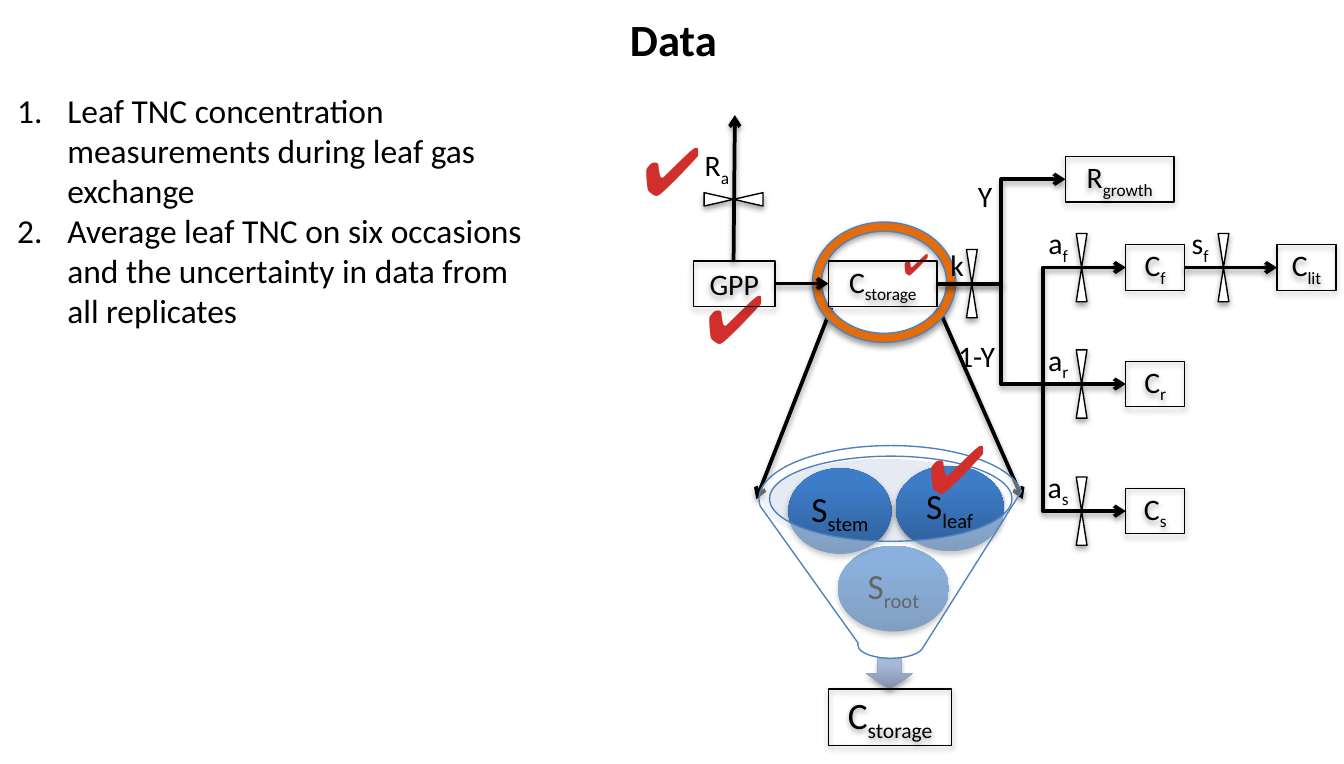
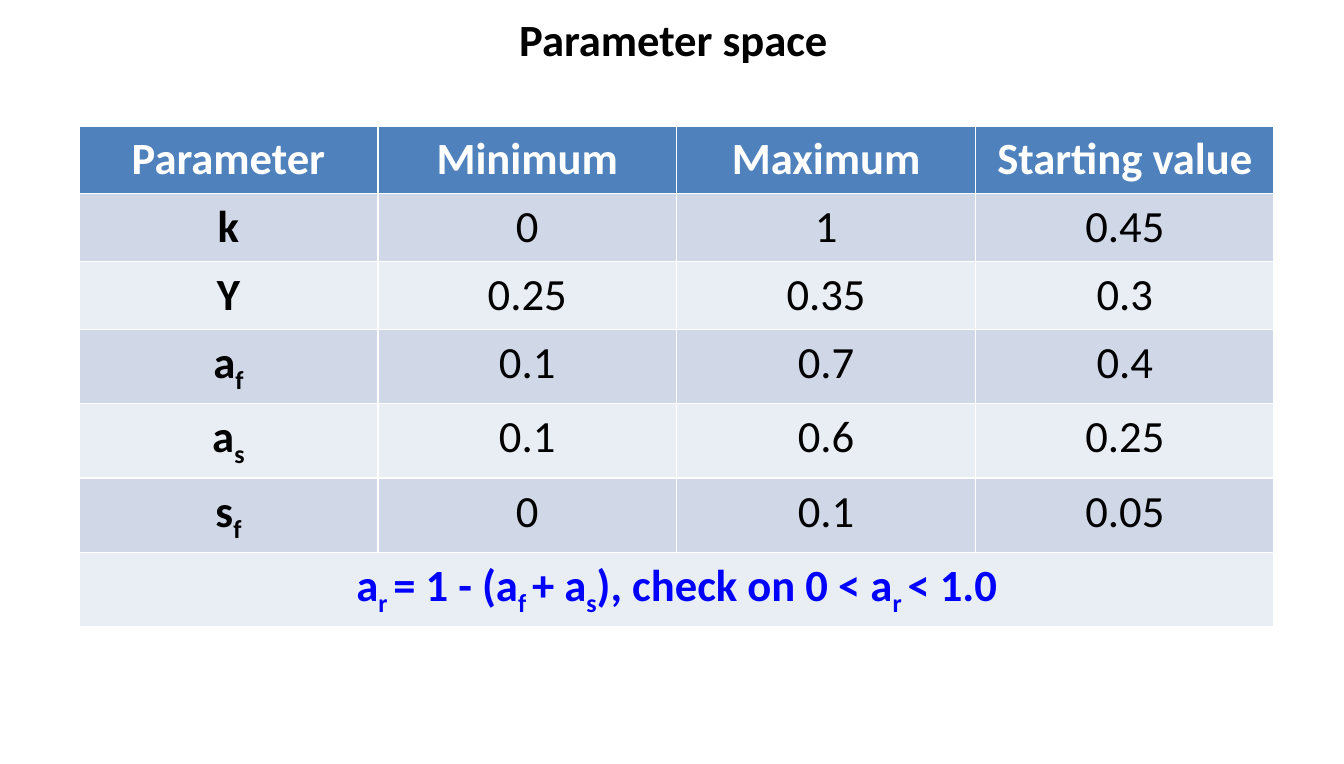
from dataclasses import dataclass

from pptx import Presentation
from pptx.dml.color import RGBColor
from pptx.enum.shapes import MSO_CONNECTOR, MSO_SHAPE
from pptx.enum.text import MSO_ANCHOR, PP_ALIGN
from pptx.oxml import parse_xml
from pptx.oxml.ns import nsdecls, qn
from pptx.util import Inches, Pt

BOX, OVAL, RING = MSO_SHAPE.RECTANGLE, MSO_SHAPE.OVAL, MSO_SHAPE.DONUT
GATE, FUNNEL, DOWN = MSO_SHAPE.FLOWCHART_COLLATE, MSO_SHAPE.FUNNEL, MSO_SHAPE.DOWN_ARROW
LINE, ELBOW = MSO_CONNECTOR.STRAIGHT, MSO_CONNECTOR.ELBOW
MID, TOP = MSO_ANCHOR.MIDDLE, MSO_ANCHOR.TOP
CENTER, LEFT = PP_ALIGN.CENTER, PP_ALIGN.LEFT

# The grid has square cells; all lengths are counted in its columns and rows.
CELL = Inches(0.1)
WIDE, HIGH = 100.4, 57.1
PAD = (1, 0.5)
BOX_H = 3.4
MAIN, LEAF, ROOT, STEM, GROW = 21.2, 20, 28.7, 38.2, 13.4   # flow rows
FORK, TRUNK, POOL = 74.8, 77.9, 84.1                        # flow columns


@dataclass(frozen=True)
class Theme:
    font: str = "Calibri"
    mark: str = "Arial"
    ink: str = "000000"
    paper: str = "FFFFFF"
    red: str = "D02F2C"
    ring: str = "E46C0A"
    edge: str = "4F81BD"
    note: str = "0000FF"
    glass: str = "C2CDE1"
    bands: tuple = ("E9EDF4", "D0D8E8")
    ball: tuple = ("2F5F99", "3D7CC7")
    drop: tuple = ("818FA8", "A7B9DA")
    head: int = 24
    body: int = 18
    label: int = 16
    pool: int = 19
    total: int = 20
    thin: float = 0.75
    thick: float = 2


T = Theme()


def grid(*cells):
    return [round(cell * CELL) for cell in cells]


def rgb(code):
    return RGBColor.from_string(code)


def apply(item, **values):
    for name, value in values.items():
        setattr(item, name, value)


def write(par, text, size, color=T.ink, bold=False, font=T.font, align=CENTER):
    """Fill a paragraph; every second piece between underscores is a subscript."""
    par.alignment = align
    for i, piece in enumerate(text.split("_")):
        if not piece:
            continue
        run = par.add_run()
        run.text = piece
        apply(run.font, size=Pt(size), bold=bold, name=font)
        run.font.color.rgb = rgb(color)
        if i % 2:
            run.font._element.set("baseline", "-25000")


def frame(shape, anchor=MID, pad=(0, 0)):
    side, end = grid(*pad)
    apply(shape.text_frame, word_wrap=True, vertical_anchor=anchor,
          margin_left=side, margin_right=side, margin_top=end, margin_bottom=end)
    return shape.text_frame


def label(slide, area, text, size=T.label, anchor=MID, pad=(0, 0), **look):
    tf = frame(slide.shapes.add_textbox(*grid(*area)), anchor, pad)
    write(tf.paragraphs[0], text, size, **look)


def title(slide, text):
    label(slide, (2.2, 0.4, WIDE - 4.2, 4.9), text, T.head, TOP, PAD, bold=True)


def steps(slide, area, items):
    """Numbered list with a hanging indent."""
    tf = frame(slide.shapes.add_textbox(*grid(*area)), TOP, PAD)
    hang = str(grid(3.75)[0])
    for i, item in enumerate(items):
        par = tf.add_paragraph() if i else tf.paragraphs[0]
        props = par._p.get_or_add_pPr()
        props.set("marL", hang)
        props.set("indent", "-" + hang)
        props.append(parse_xml(f'<a:buAutoNum {nsdecls("a")} type="arabicPeriod"/>'))
        write(par, item, T.body, align=LEFT)


def shade(item):
    """Soft shadow below a shape or connector whose line is already set."""
    item._element.spPr.append(parse_xml(
        f'<a:effectLst {nsdecls("a")}><a:outerShdw blurRad="40000" dist="22000" '
        'dir="5400000" rotWithShape="0"><a:srgbClr val="000000">'
        '<a:alpha val="36000"/></a:srgbClr></a:outerShdw></a:effectLst>'))


def draw(slide, kind, area, fill=None, line=None, alpha=None, shadow=True):
    """Preset shape; a pair of fill colours runs from bottom to top."""
    shape = slide.shapes.add_shape(kind, *grid(*area))
    if fill is None:
        shape.fill.background()
    elif isinstance(fill, tuple):
        shape.fill.gradient()
        shape.fill.gradient_angle = 90
        for stop, code, place in zip(shape.fill.gradient_stops, fill, (0, 0.8)):
            stop.color.rgb = rgb(code)
            stop.position = place
    else:
        shape.fill.solid()
        shape.fill.fore_color.rgb = rgb(fill)
    if alpha:
        tint = shape._element.spPr.find(qn("a:solidFill"))[0]
        tint.append(parse_xml(f'<a:alpha {nsdecls("a")} val="{alpha * 1000}"/>'))
    if line:
        shape.line.color.rgb = rgb(line)
        shape.line.width = Pt(T.thin)
    else:
        shape.line.fill.background()
    if shadow:
        shade(shape)
    else:
        shape.shadow.inherit = False
    return shape


def box(slide, area, text, size=T.label):
    shape = draw(slide, BOX, area, line=T.ink)
    write(frame(shape).paragraphs[0], text, size)


def node(slide, left, row, width, text):
    """Flow box centred on a row."""
    box(slide, (left, row - BOX_H / 2, width, BOX_H), text)


def gate(slide, mid, row, width=0.8, height=5.1, turn=0):
    shape = draw(slide, GATE, (mid - width / 2, row - height / 2, width, height),
                 T.paper, T.ink)
    shape.rotation = turn


def arrow(slide, start, end, bend=None):
    """Arrow; bend is the column where an elbow turns."""
    kind = LINE if bend is None else ELBOW
    link = slide.shapes.add_connector(kind, *grid(*start, *end))
    link.line.color.rgb = rgb(T.ink)
    link.line.width = Pt(T.thick)
    link.line._ln.append(parse_xml(f'<a:tailEnd {nsdecls("a")} type="arrow"/>'))
    if bend is not None:
        share = round((bend - start[0]) / (end[0] - start[0]) * 100000)
        shape = link._element.spPr.find(qn("a:prstGeom"))
        shape.get_or_add_avLst().append(parse_xml(
            f'<a:gd {nsdecls("a")} name="adj1" fmla="val {share}"/>'))
    shade(link)


def tick(slide, left, top, size=36):
    label(slide, (left, top, 12.7, 8), "✔", size, color=T.red, bold=True, font=T.mark)


def store(slide):
    """Storage pool opened up into its pools."""
    arrow(slide, (62.1, 23), (56.5, 37.3))
    arrow(slide, (70.1, 23), (76.4, 37.3))
    draw(slide, OVAL, (57, 34.3, 18.1, 6.4), T.glass, alpha=40, shadow=False)
    draw(slide, DOWN, (64.7, 49.2, 3.5, 2.3), T.drop)
    for left, top, width, text in ((62.6, 40.8, 8.3, "S_root"),
                                   (58.9, 35, 7.7, "S_stem"),
                                   (66.9, 34.8, 8.1, "S_leaf")):
        area = (left, top, width, 6.4)
        draw(slide, OVAL, area, T.ball)
        label(slide, area, text, T.pool)
    draw(slide, FUNNEL, (56.7, 33.3, 19.7, 15.9), T.paper, T.edge, 40, False)
    box(slide, (61.9, 51.5, 9.2, 4.2), "C_storage", T.total)


def flow(slide):
    """Carbon flow from uptake to the pools."""
    ring = draw(slide, RING, (60.7, 16.6, 10.7, 9), T.ring, T.edge)
    ring.adjustments[0] = 0.076
    for spot in ((61.9, MAIN, 8.1, "C_storage"), (51.8, MAIN, 6.1, "GPP"),
                 (79.6, GROW, 8.1, "R_growth"), (95.4, LEAF, 4.4, "C_lit")):
        node(slide, *spot)
    gate(slide, 72.6, MAIN)
    gate(slide, 54.8, 14.9, 1, 4.4, 90)
    gate(slide, 91.4, LEAF)
    for row, name in ((LEAF, "f"), (ROOT, "r"), (STEM, "s")):
        node(slide, POOL, row, 4.4, "C_" + name)
        gate(slide, 80.8, row)
        label(slide, (77, row - 3, 4.1, 2.7), "a_" + name)
    for area, text in (((69.7, 18.1, 3.6, 3.4), "k"),
                       ((51.1, 10.8, 4.9, 3.4), "R_a"),
                       ((87.7, 17, 3.9, 2.7), "s_f"),
                       ((71.8, 12.9, 3.6, 3.4), "Y"),
                       ((70.4, 25, 5.1, 3.2), "1-Y")):
        label(slide, area, text)
    arrow(slide, (57.9, MAIN), (61.9, MAIN))
    arrow(slide, (54.8, 19.5), (54.9, 8.6))
    arrow(slide, (88.5, LEAF), (95.4, LEAF))
    for row in (STEM, LEAF):
        arrow(slide, (TRUNK, ROOT), (POOL, row), TRUNK)
    for end in ((POOL, ROOT), (79.6, GROW)):
        arrow(slide, (70, MAIN), end, FORK)


def table(slide, area, rows, note):
    """Table with a header row and a merged closing row."""
    count, wide = len(rows) + 1, len(rows[0])
    grown = slide.shapes.add_table(count, wide, *grid(*area)).table
    for r, row in enumerate(rows + [(note,)]):
        last = r == count - 1
        if last:
            grown.cell(r, 0).merge(grown.cell(r, wide - 1))
        for c, text in enumerate(row):
            cell = grown.cell(r, c)
            cell.fill.solid()
            cell.fill.fore_color.rgb = rgb(T.bands[r % 2] if r else T.edge)
            color = T.note if last else T.ink if r else T.paper
            write(cell.text_frame.paragraphs[0], text, T.head, color, not r or not c)


def main():
    deck = Presentation()
    apply(deck, slide_width=grid(WIDE)[0], slide_height=grid(HIGH)[0])
    data, space = (deck.slides.add_slide(deck.slide_layouts[6]) for _ in range(2))

    title(data, "Data")
    steps(data, (0.3, 6.2, 40.4, 19.5), (
        "Leaf TNC concentration measurements during leaf gas exchange",
        "Average leaf TNC on six occasions and the uncertainty in data from all replicates"))
    tick(data, 48.6, 19.7)
    tick(data, 43.9, 8.6)
    store(data)
    tick(data, 65.2, 30.9)
    tick(data, 62.1, 15.7, 16)
    flow(data)

    title(space, "Parameter space")
    table(space, (5.9, 9.4, 89.3, 35.5), [
        ("Parameter", "Minimum", "Maximum", "Starting value"),
        ("k", "0", "1", "0.45"),
        ("Y", "0.25", "0.35", "0.3"),
        ("a_f", "0.1", "0.7", "0.4"),
        ("a_s", "0.1", "0.6", "0.25"),
        ("s_f", "0", "0.1", "0.05"),
    ], "a_r _= 1 - (a_f _+ a_s_), check on 0 < a_r _< 1.0")
    deck.save("out.pptx")


if __name__ == "__main__":
    main()
